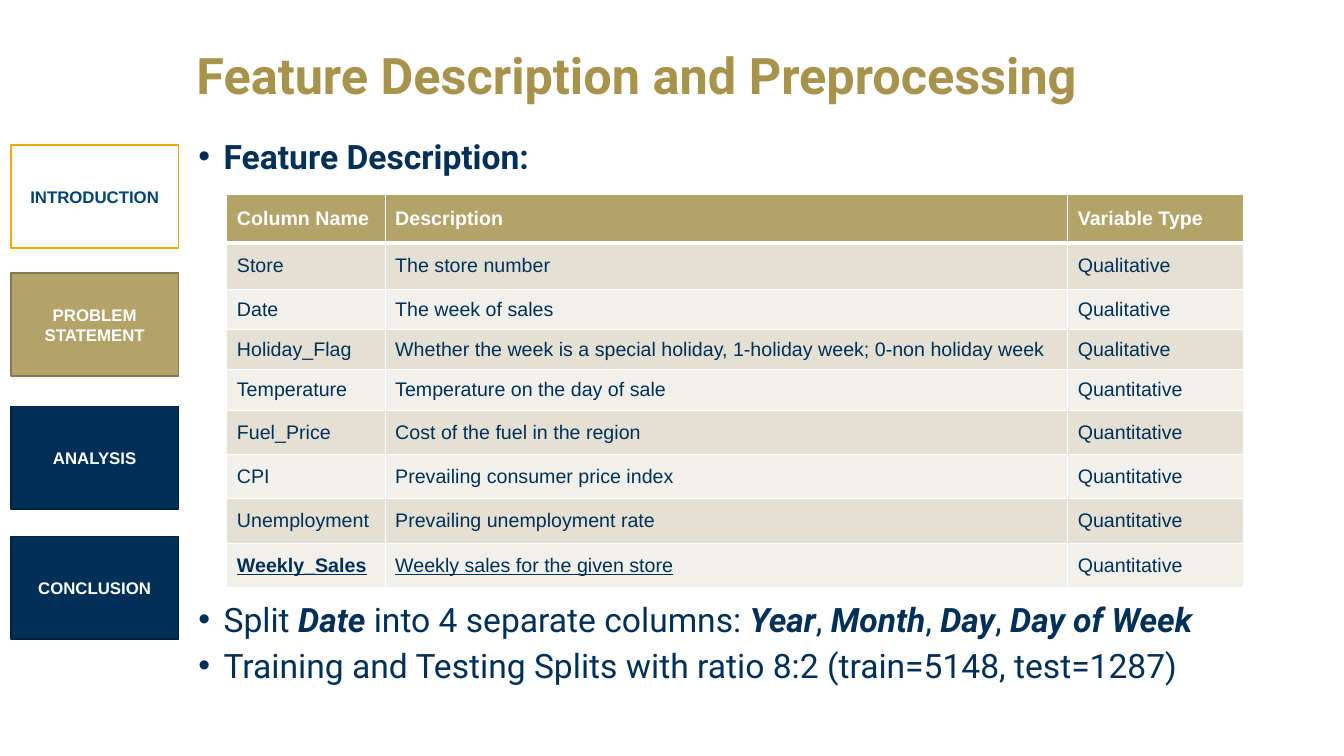
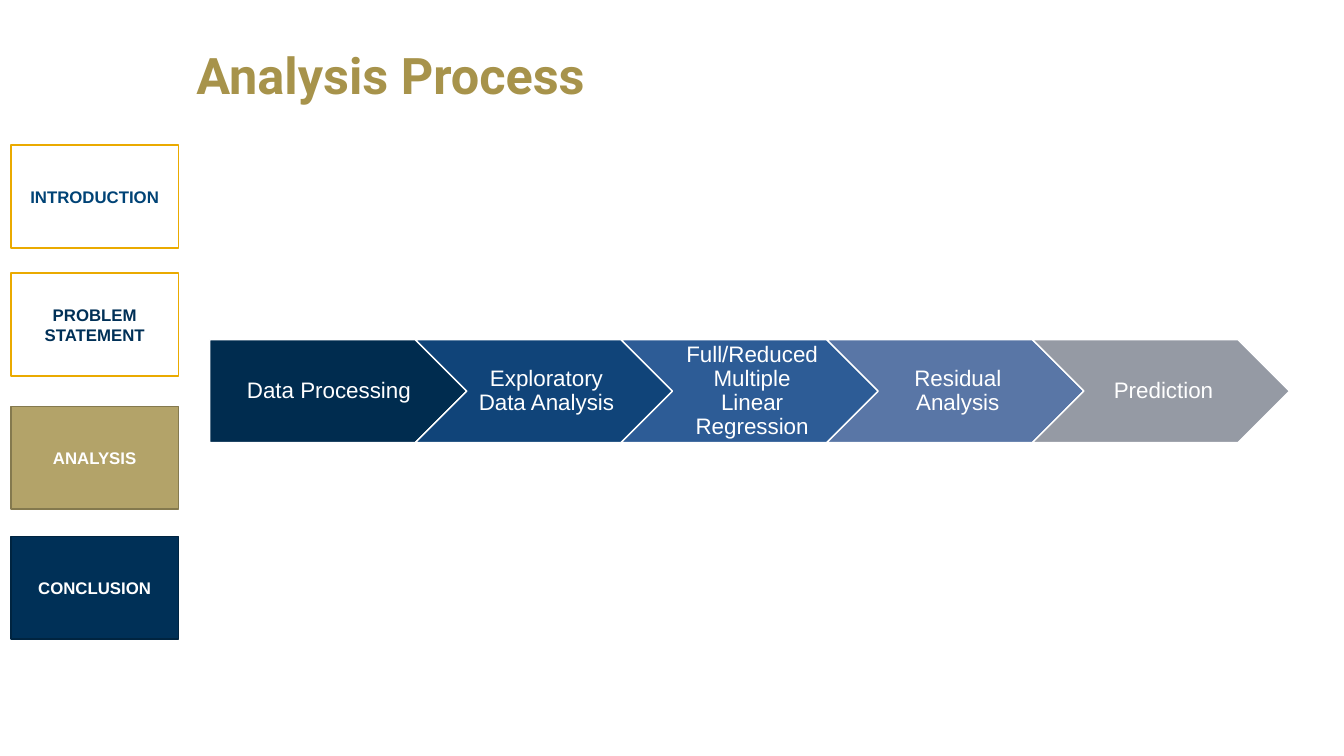
"""Build two project slides: a feature table and an analysis process."""
from dataclasses import dataclass

from lxml import etree
from pptx import Presentation
from pptx import util as u
from pptx.dml.color import RGBColor
from pptx.enum import shapes, text
from pptx.oxml import ns

EMU_PER_PX = 9144
HEADING_FONT, BODY_FONT = "Roboto", "Arial"
COLORS = {
    "white": "FFFFFF", "navy": "003057", "navy_edge": "002440", "blue": "004376",
    "gold": "B3A369", "gold_edge": "84794E", "title": "A7934B", "yellow": "EAAA00",
    "band_dark": "E5E0D4", "band_light": "F2F0EB",
    "step_1": "002C4F", "step_2": "104479", "step_3": "2D5C96",
    "step_4": "5976A6", "step_5": "959AA4",
}


@dataclass(frozen=True)
class Section:
    label: str
    top: int
    done_color: str = "navy"


@dataclass(frozen=True)
class Look:
    fill: str
    edge: str


@dataclass(frozen=True)
class Feature:
    column: str
    description: str
    kind: str
    height: int
    is_target: bool = False


SECTIONS = (
    Section("INTRODUCTION", 144, "blue"),
    Section("PROBLEM STATEMENT", 271),
    Section("ANALYSIS", 403),
    Section("CONCLUSION", 532),
)
DONE = Look("white", "yellow")
CURRENT = Look("gold", "gold_edge")
UPCOMING = Look("navy", "navy_edge")

COLUMN_WIDTHS = (157, 677, 174)
FEATURES = (
    Feature("Column Name", "Description", "Variable Type", 48),
    Feature("Store", "The store number", "Qualitative", 46),
    Feature("Date", "The week of sales", "Qualitative", 40),
    Feature("Holiday_Flag",
            "Whether the week is a special holiday, 1-holiday week; 0-non holiday week",
            "Qualitative", 40),
    Feature("Temperature", "Temperature on the day of sale", "Quantitative", 40),
    Feature("Fuel_Price", "Cost of the fuel in the region", "Quantitative", 44),
    Feature("CPI", "Prevailing consumer price index", "Quantitative", 44),
    Feature("Unemployment", "Prevailing unemployment rate", "Quantitative", 44),
    Feature("Weekly_Sales", "Weekly sales for the given store", "Quantitative", 44, True),
)
STEPS = (
    "Data Processing",
    "Exploratory Data Analysis",
    "Full/Reduced Multiple Linear Regression",
    "Residual Analysis",
    "Prediction",
)
STEP_LEFT, STEP_TOP, STEP_PITCH, STEP_WIDTH, STEP_HEIGHT = 208, 337, 204, 255, 102


def px(length: int) -> u.Emu:
    """Turn a length in px into EMU."""
    return u.Emu(length * EMU_PER_PX)


def rgb(name: str) -> RGBColor:
    """Look up a named colour."""
    return RGBColor.from_string(COLORS[name])


def write(frame, *lines: str, size: int, color: str, font: str = BODY_FONT,
          bold: bool = False, underline: bool = False, align=text.PP_ALIGN.LEFT,
          anchor=text.MSO_ANCHOR.MIDDLE, spacing: float = 1.0,
          bulleted: bool = False) -> None:
    """Fill a text frame; words between asterisks become bold italic."""
    frame.word_wrap = True
    frame.vertical_anchor = anchor
    for index, line in enumerate(lines):
        paragraph = frame.add_paragraph() if index else frame.paragraphs[0]
        if bulleted:
            properties = paragraph._p.get_or_add_pPr()
            properties.set("marL", str(px(25)))
            properties.set("indent", str(px(-25)))
            etree.SubElement(properties, ns.qn("a:buFont"), typeface=BODY_FONT)
            etree.SubElement(properties, ns.qn("a:buChar"), char="•")
        paragraph.alignment = align
        paragraph.line_spacing = spacing
        if index:
            paragraph.space_before = u.Pt(10)
        for part, words in enumerate(line.split("*")):
            if not words:
                continue
            emphasised = part % 2 == 1
            run = paragraph.add_run()
            run.text = words
            run.font.name = font
            run.font.size = u.Pt(size)
            run.font.color.rgb = rgb(color)
            run.font.bold = bold or emphasised
            run.font.italic = emphasised
            run.font.underline = underline


def add_text(slide, left: int, top: int, width: int, height: int,
             *lines: str, **style) -> None:
    """Add a text box."""
    box = slide.shapes.add_textbox(px(left), px(top), px(width), px(height))
    write(box.text_frame, *lines, **style)


def add_block(slide, kind, left: int, top: int, width: int, height: int, look: Look):
    """Add a flat filled shape with a thin outline."""
    block = slide.shapes.add_shape(kind, px(left), px(top), px(width), px(height))
    block.shadow.inherit = False
    block.fill.solid()
    block.fill.fore_color.rgb = rgb(look.fill)
    block.line.color.rgb = rgb(look.edge)
    block.line.width = u.Pt(1)
    return block


def add_frame(deck, title: str, current: int):
    """Add a slide with its title and the section navigation."""
    slide = deck.slides.add_slide(deck.slide_layouts[6])
    add_text(slide, 185, 22, 1106, 111, title, size=36, color="title",
             font=HEADING_FONT, bold=True, spacing=0.9)
    for index, section in enumerate(SECTIONS):
        look = DONE if index < current else CURRENT if index == current else UPCOMING
        block = add_block(slide, shapes.MSO_SHAPE.RECTANGLE, 11, section.top, 166, 102, look)
        write(block.text_frame, section.label, size=12, bold=True,
              color=section.done_color if look is DONE else "white",
              align=text.PP_ALIGN.CENTER)
    return slide


def set_borders(cell, top: int, bottom: int) -> None:
    """Give a cell white borders, with top and bottom widths in points."""
    properties = cell._tc.get_or_add_tcPr()
    for side, width in (("L", 1), ("R", 1), ("T", top), ("B", bottom)):
        line = etree.SubElement(properties, ns.qn(f"a:ln{side}"), w=str(u.Pt(width)))
        fill = etree.SubElement(line, ns.qn("a:solidFill"))
        etree.SubElement(fill, ns.qn("a:srgbClr"), val=COLORS["white"])


def add_feature_table(slide, left: int, top: int) -> None:
    """Add the table of features under a gold header row."""
    height = sum(feature.height for feature in FEATURES)
    table = slide.shapes.add_table(len(FEATURES), len(COLUMN_WIDTHS), px(left), px(top),
                                   px(sum(COLUMN_WIDTHS)), px(height)).table
    for column, width in zip(table.columns, COLUMN_WIDTHS):
        column.width = px(width)
    for row, feature in enumerate(FEATURES):
        table.rows[row].height = px(feature.height)
        header = row == 0
        fill = "gold" if header else "band_dark" if row % 2 else "band_light"
        for col, words in enumerate((feature.column, feature.description, feature.kind)):
            cell = table.cell(row, col)
            set_borders(cell, 3 if row == 1 else 1, 3 if header else 1)
            cell.fill.solid()
            cell.fill.fore_color.rgb = rgb(fill)
            cell.vertical_anchor = text.MSO_ANCHOR.MIDDLE
            write(cell.text_frame, words, size=14, color="white" if header else "navy",
                  bold=header or (feature.is_target and col == 0),
                  underline=feature.is_target and col < 2)


def add_process(slide) -> None:
    """Add the row of interlocking process arrows."""
    for index, step in enumerate(STEPS):
        kind = shapes.MSO_SHAPE.CHEVRON if index else shapes.MSO_SHAPE.PENTAGON
        arrow = add_block(slide, kind, STEP_LEFT + index * STEP_PITCH, STEP_TOP,
                          STEP_WIDTH, STEP_HEIGHT, Look(f"step_{index + 1}", "white"))
        frame = arrow.text_frame
        frame.margin_left = px(7 if index else 9)
        frame.margin_right = px(2)
        write(frame, step, size=16, color="white", spacing=0.9,
              align=text.PP_ALIGN.CENTER)


def main() -> None:
    """Build and save the deck."""
    deck = Presentation()
    deck.slide_width, deck.slide_height = px(1333), px(750)

    features = add_frame(deck, "Feature Description and Preprocessing", current=1)
    bullets = dict(size=24, color="navy", font=HEADING_FONT, spacing=0.8,
                   anchor=text.MSO_ANCHOR.TOP, bulleted=True)
    add_text(features, 187, 138, 1106, 50, "Feature Description:", bold=True, **bullets)
    add_feature_table(features, 225, 193)
    add_text(features, 187, 597, 1106, 100,
             "Split *Date* into 4 separate columns: *Year*, *Month*, *Day*, *Day of Week*",
             "Training and Testing Splits with ratio 8:2 (train=5148, test=1287)",
             **bullets)

    process = add_frame(deck, "Analysis Process", current=2)
    add_process(process)
    deck.save("out.pptx")


if __name__ == "__main__":
    main()
